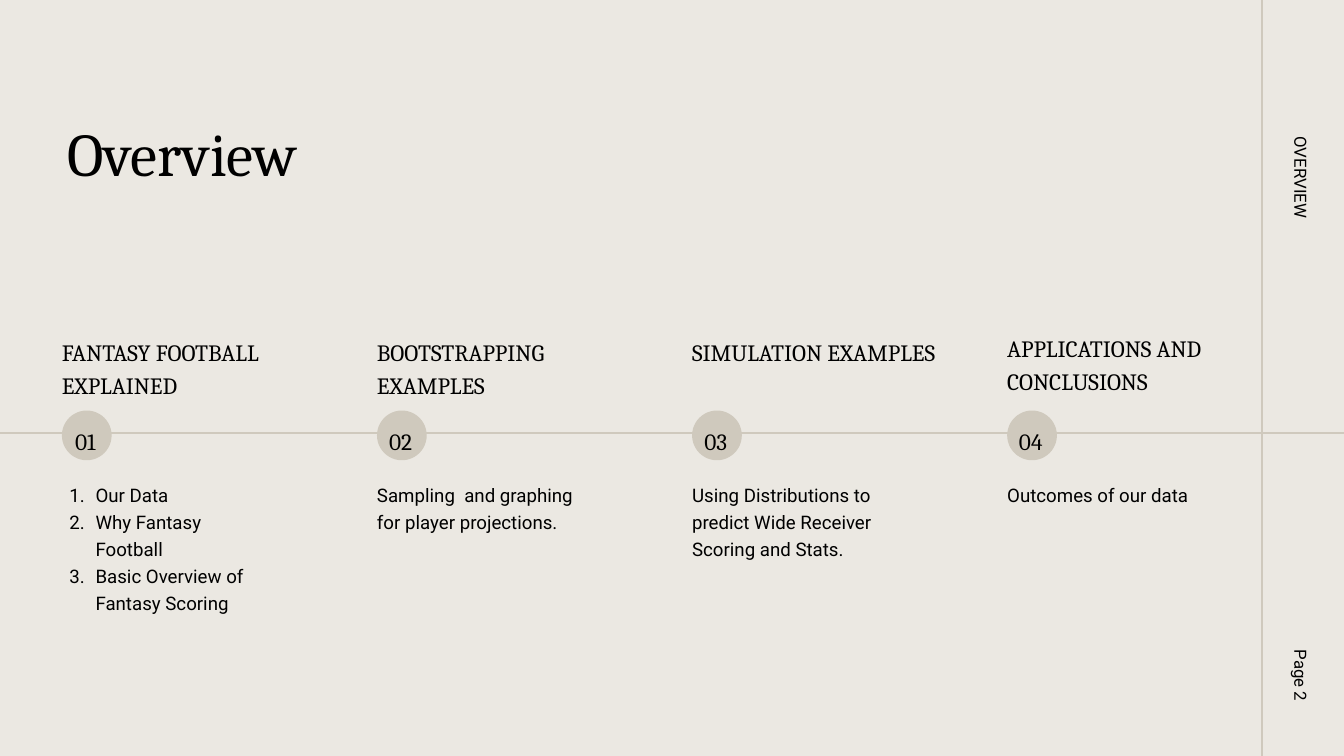
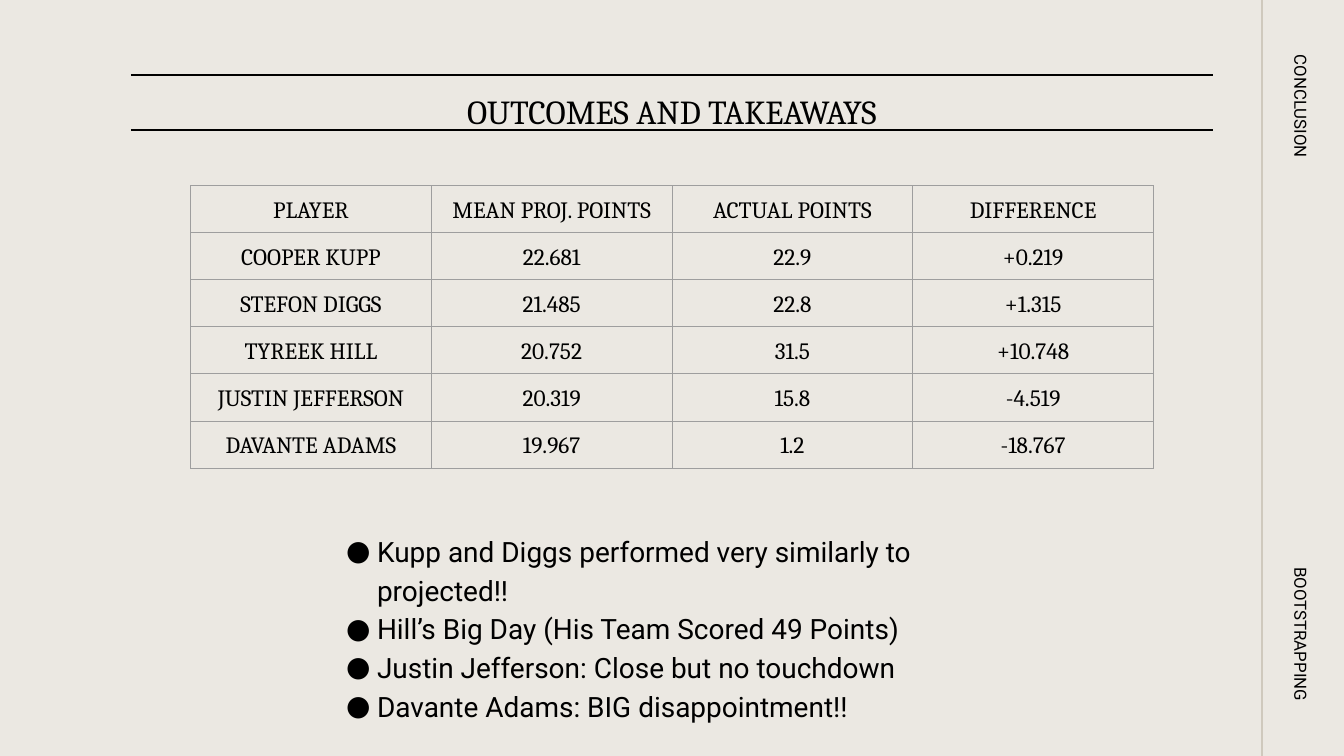
"""Builds the overview and conclusion slides of a fantasy football talk."""
from lxml.etree import SubElement
from pptx import Presentation
from pptx.dml.color import RGBColor
from pptx.enum.shapes import MSO_CONNECTOR as Connector, MSO_SHAPE as Shape
from pptx.enum.text import MSO_ANCHOR as Anchor, MSO_AUTO_SIZE as AutoSize, PP_ALIGN as Align
from pptx.oxml.ns import qn
from pptx.util import Cm, Pt

PAPER, SAND, INK, GRID = "EBE8E2", "CFC9BD", "000000", "9E9E9E"
SERIF, SANS = "Cambria", "Roboto"
WIDTH, HEIGHT = 50.8, 28.58
RAIL_X = 47.7
COLUMN_LEFT, COLUMN_STEP = 2.34, 11.91

TOPICS = [
    ("FANTASY FOOTBALL EXPLAINED", 12.57, 4,
     ["Our Data", "Why Fantasy Football", "Basic Overview of Fantasy Scoring"]),
    ("BOOTSTRAPPING EXAMPLES", 12.57, 2, ["Sampling  and graphing for player projections."]),
    ("SIMULATION EXAMPLES", 12.57, 3,
     ["Using Distributions to predict Wide Receiver Scoring and Stats."]),
    ("APPLICATIONS AND CONCLUSIONS", 12.42, 1, ["Outcomes of our data"]),
]
SCORES = [
    ("PLAYER", "MEAN PROJ. POINTS", "ACTUAL POINTS", "DIFFERENCE"),
    ("COOPER KUPP", "22.681", "22.9", "+0.219"),
    ("STEFON DIGGS", "21.485", "22.8", "+1.315"),
    ("TYREEK HILL", "20.752", "31.5", "+10.748"),
    ("JUSTIN JEFFERSON", "20.319", "15.8", "-4.519"),
    ("DAVANTE ADAMS", "19.967", "1.2", "-18.767"),
]
TAKEAWAYS = [
    "Kupp and Diggs performed very similarly to projected!!",
    "Hill’s Big Day (His Team Scored 49 Points)",
    "Justin Jefferson: Close but no touchdown",
    "Davante Adams: BIG disappointment!!",
]


def color(value):
    return RGBColor.from_string(value)


class Slides:
    def __init__(self):
        self.deck = Presentation()
        self.deck.slide_width, self.deck.slide_height = Cm(WIDTH), Cm(HEIGHT)
        fill = self.deck.slide_master.background.fill
        fill.solid()
        fill.fore_color.rgb = color(PAPER)

    def start(self):
        self.page = self.deck.slides.add_slide(self.deck.slide_layouts[1])

    def style(self, para, size, font, align=Align.LEFT, spacing=1.2):
        para.alignment, para.line_spacing, para.space_before = align, spacing, Pt(0)
        for span in para.runs:
            span.font.size, span.font.name = Pt(size), font
            span.font.color.rgb = color(INK)

    def fill_box(self, box, area, lines, size, font, align=Align.LEFT, spacing=1.2, bullet=None):
        box.left, box.top, box.width, box.height = map(Cm, area)
        frame = box.text_frame
        frame.text = "\n".join(lines)
        frame.word_wrap, frame.auto_size = True, AutoSize.NONE
        frame.vertical_anchor = Anchor.TOP
        frame.margin_left = frame.margin_right = frame.margin_top = frame.margin_bottom = 0
        for para in frame.paragraphs:
            if bullet:
                self.bullet(para, *bullet)
            self.style(para, size, font, align, spacing)

    def bullet(self, para, tag, attribute, value, hang):
        props = para._p.get_or_add_pPr()
        props.set("marL", str(Cm(1.27)))
        props.set("indent", str(-Cm(hang)))
        SubElement(SubElement(props, qn("a:buClr")), qn("a:srgbClr"), val=INK)
        SubElement(props, qn("a:buFont"), typeface=SANS)
        SubElement(props, qn(tag)).set(attribute, value)

    def title(self, text, area, size, **options):
        self.fill_box(self.page.shapes.title, area, [text], size, SERIF, **options)

    def body(self, lines, area, size, **options):
        self.fill_box(self.page.placeholders[1], area, lines, size, SANS, **options)

    def text(self, lines, area, size, font, **options):
        box = self.page.shapes.add_textbox(*map(Cm, area))
        self.fill_box(box, area, lines, size, font, **options)
        return box

    def line(self, x1, y1, x2, y2, stroke=SAND):
        line = self.page.shapes.add_connector(Connector.STRAIGHT, *map(Cm, (x1, y1, x2, y2)))
        line.line.color.rgb, line.line.width = color(stroke), Pt(2.25)
        SubElement(line._element.spPr, qn("a:effectLst"))

    def marker(self, label, left):
        circle = self.page.shapes.add_shape(Shape.OVAL, *map(Cm, (left, 15.52, 1.88, 1.88)))
        circle.shadow.inherit = False
        circle.fill.solid()
        circle.fill.fore_color.rgb = color(SAND)
        circle.line.fill.background()
        self.text([label], (left + 0.13, 15.93, 1.52, 1.07), 25, SERIF, align=Align.CENTER)

    def rail(self, section, footer, section_align=Align.RIGHT):
        self.line(RAIL_X, 0, RAIL_X, HEIGHT)
        for label, top, align in ((footer, 23.04, Align.RIGHT), (section, 4.78, section_align)):
            self.text([label], (46.25, top, 6.17, 0.76), 18, SANS, align=align).rotation = 90

    def table(self, rows, left, top, column_width, row_height):
        count = len(rows[0])
        area = (left, top, column_width * count, row_height * len(rows))
        table = self.page.shapes.add_table(len(rows), count, *map(Cm, area)).table
        table.first_row = table.horz_banding = False
        for r, row in enumerate(rows):
            for c, value in enumerate(row):
                cell = table.cell(r, c)
                cell.text = value
                cell.margin_left = cell.margin_right = Cm(0.25)
                cell.margin_top = cell.margin_bottom = Cm(0.25)
                self.style(cell.text_frame.paragraphs[0], 25, SERIF, Align.CENTER)
                self.border(cell)
                cell.fill.background()

    def border(self, cell):
        props = cell._tc.get_or_add_tcPr()
        for side in "LRTB":
            edge = SubElement(props, qn(f"a:ln{side}"), w=str(Pt(0.75)))
            SubElement(SubElement(edge, qn("a:solidFill")), qn("a:srgbClr"), val=GRID)


def build_overview(slides):
    slides.start()
    slides.title("Overview", (2.54, 3.53, 29.85, 2.77), 65, spacing=1.31)
    slides.line(0, 16.36, WIDTH, 16.36)
    for index, (heading, top, height_lines, lines) in enumerate(TOPICS):
        left = COLUMN_LEFT + index * COLUMN_STEP
        area = (left, 18.14, 7.82, 1.02 * height_lines - 0.14)
        slides.text([heading], (left, top, 9.35, 2.36), 25, SERIF)
        slides.marker(f"{index + 1:02}", left)
        if len(lines) > 1:
            slides.body(lines, area, 20, bullet=("a:buAutoNum", "type", "arabicPeriod", 0.99))
        else:
            slides.text(lines, area, 20, SANS)
    slides.rail("OVERVIEW", "Page 2")


def build_conclusion(slides):
    slides.start()
    slides.title("OUTCOMES AND TAKEAWAYS", (14.27, 3.12, 22.25, 1.55), 36, align=Align.CENTER)
    for y in (2.84, 4.93):
        slides.line(4.95, y, 45.85, y, INK)
    slides.rail("CONCLUSION", "BOOTSTRAPPING", Align.LEFT)
    slides.table(SCORES, 7.2, 7.01, 9.1, 1.78)
    slides.body(TAKEAWAYS, (12.98, 20.02, 24.87, 5.72), 30, spacing=1.15,
                bullet=("a:buChar", "char", "●", 1.17))


def main():
    slides = Slides()
    build_overview(slides)
    build_conclusion(slides)
    slides.deck.save("out.pptx")


if __name__ == "__main__":
    main()
